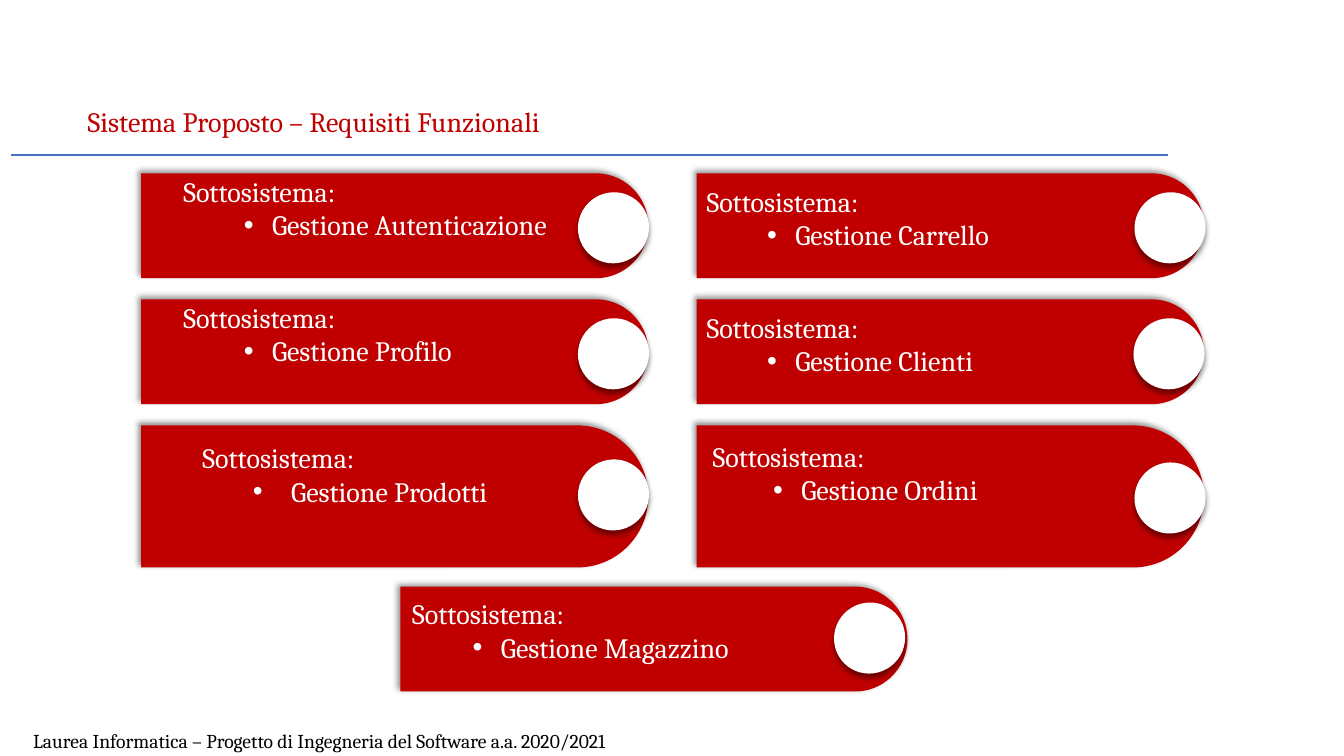
from lxml import etree
from pptx import Presentation
from pptx.dml.color import RGBColor
from pptx.enum.shapes import MSO_CONNECTOR, MSO_SHAPE
from pptx.enum.text import MSO_ANCHOR as Anchor, MSO_AUTO_SIZE as AutoSize, PP_ALIGN as Align
from pptx.oxml.ns import qn
from pptx.util import Inches, Pt

COLORS = {"red": "C00000", "blue": "4472C4", "white": "FFFFFF", "black": "000000"}
FONT = "Cambria"
BAR_LENGTH = 5.03


def write(paragraph, text, size=20, color="white", level=0, hanging=None):
    """Fill a paragraph; hanging, in inches, makes it a bullet."""
    paragraph.level = level
    paragraph.alignment = Align.LEFT
    if hanging is not None:
        properties = paragraph._p.get_or_add_pPr()
        properties.set("marL", str(Inches(0.88)))
        properties.set("indent", str(-Inches(hanging)))
        etree.SubElement(properties, qn("a:buFont")).set("typeface", "Arial")
        etree.SubElement(properties, qn("a:buChar")).set("char", "•")
    run = paragraph.add_run()
    run.text = text
    run.font.name = FONT
    run.font.size = Pt(size)
    run.font.color.rgb = RGBColor.from_string(COLORS[color])


class SubsystemSlide:
    def __init__(self, presentation):
        self.slide = presentation.slides.add_slide(presentation.slide_layouts[5])
        self.shapes = self.slide.shapes

    def title(self, text):
        title = self.shapes.title
        title.left, title.top = Inches(0.77), Inches(0.52)
        title.width, title.height = Inches(9.9), Inches(1.4)
        frame = title.text_frame
        frame.word_wrap = True
        frame.auto_size = AutoSize.NONE
        frame.vertical_anchor = Anchor.MIDDLE
        frame.paragraphs[0].line_spacing = 0.9
        write(frame.paragraphs[0], text, color="red")

    def rule(self, left, right, top):
        rule = self.shapes.add_connector(
            MSO_CONNECTOR.STRAIGHT, Inches(left), Inches(top), Inches(right), Inches(top))
        rule.line.color.rgb = RGBColor.from_string(COLORS["blue"])
        rule.line.width = Pt(1.5)
        etree.SubElement(rule._element.spPr, qn("a:effectLst"))

    def shadowed(self, kind, left, top, width, height, color, rotation, opacity, direction):
        """Add a borderless shape with a soft outer shadow; direction is in degrees."""
        shape = self.shapes.add_shape(
            kind, Inches(left), Inches(top), Inches(width), Inches(height))
        shape.rotation = rotation
        shape.fill.solid()
        shape.fill.fore_color.rgb = RGBColor.from_string(COLORS[color])
        shape.line.fill.background()
        shape.shadow.inherit = False
        effects = shape._element.spPr.find(qn("a:effectLst"))
        shadow = etree.SubElement(
            effects, qn("a:outerShdw"), blurRad=str(Pt(4)), dist=str(Pt(3)),
            dir=str(direction * 60000), algn="ctr", rotWithShape="0")
        shade = etree.SubElement(shadow, qn("a:srgbClr"), val=COLORS["black"])
        etree.SubElement(shade, qn("a:alpha"), val=str(opacity * 1000))
        return shape

    def bar(self, left, top, height):
        """Draw a bar rounded on the right, placed by its box after the quarter turn."""
        shift = (BAR_LENGTH - height) / 2
        bar = self.shadowed(MSO_SHAPE.ROUND_2_SAME_RECTANGLE, left + shift, top - shift,
                            height, BAR_LENGTH, "red", 90, 40, 225)
        bar.adjustments[0], bar.adjustments[1] = 0.5, 0

    def knob(self, left, top):
        self.shadowed(MSO_SHAPE.OVAL, left, top, 0.71, 0.7, "white", 315, 43, 90)

    def text_box(self, left, top, width, height):
        frame = self.shapes.add_textbox(
            Inches(left), Inches(top), Inches(width), Inches(height)).text_frame
        frame.word_wrap = True
        frame.auto_size = AutoSize.SHAPE_TO_FIT_TEXT
        return frame

    def subsystem(self, name, bar, knob, label, width=4, height=0.77, level=0, hanging=0.28):
        self.bar(*bar)
        self.knob(*knob)
        frame = self.text_box(*label, width, height)
        write(frame.paragraphs[0], "Sottosistema:")
        write(frame.add_paragraph(), name, level=level, hanging=hanging)

    def footer(self, text):
        frame = self.text_box(0.23, 7.18, 7.57, 0.34)
        write(frame.paragraphs[0], text, size=14, color="black")


def main():
    presentation = Presentation()
    presentation.slide_width, presentation.slide_height = Inches(13.33), Inches(7.5)
    page = SubsystemSlide(presentation)
    page.title("Sistema Proposto – Requisiti Funzionali")
    page.rule(0.11, 11.58, 1.54)

    left, right = 1.4, 6.91
    first, second, third = (1.72, 1.04), (2.97, 1.04), (4.22, 1.41)
    page.subsystem("Gestione Autenticazione", (left, *first), (5.73, 1.91), (1.72, 1.68),
                   height=1.11)
    page.subsystem("Gestione Profilo", (left, *second), (5.73, 3.16), (1.72, 2.93))
    page.subsystem("Gestione Prodotti", (left, *third), (5.73, 4.56), (1.91, 4.32),
                   width=3.54, level=1, hanging=0.38)
    page.subsystem("Gestione Carrello", (right, *first), (11.25, 1.91), (6.91, 1.78))
    page.subsystem("Gestione Clienti", (right, *second), (11.24, 3.16), (6.91, 3.03))
    page.subsystem("Gestione Ordini", (right, *third), (11.25, 4.59), (6.97, 4.31))
    page.subsystem("Gestione Magazzino", (3.97, 5.82, 1.04), (8.27, 5.98), (3.99, 5.87))

    page.footer("Laurea Informatica – Progetto di Ingegneria del Software a.a. 2020/2021")
    presentation.save("out.pptx")


if __name__ == "__main__":
    main()
